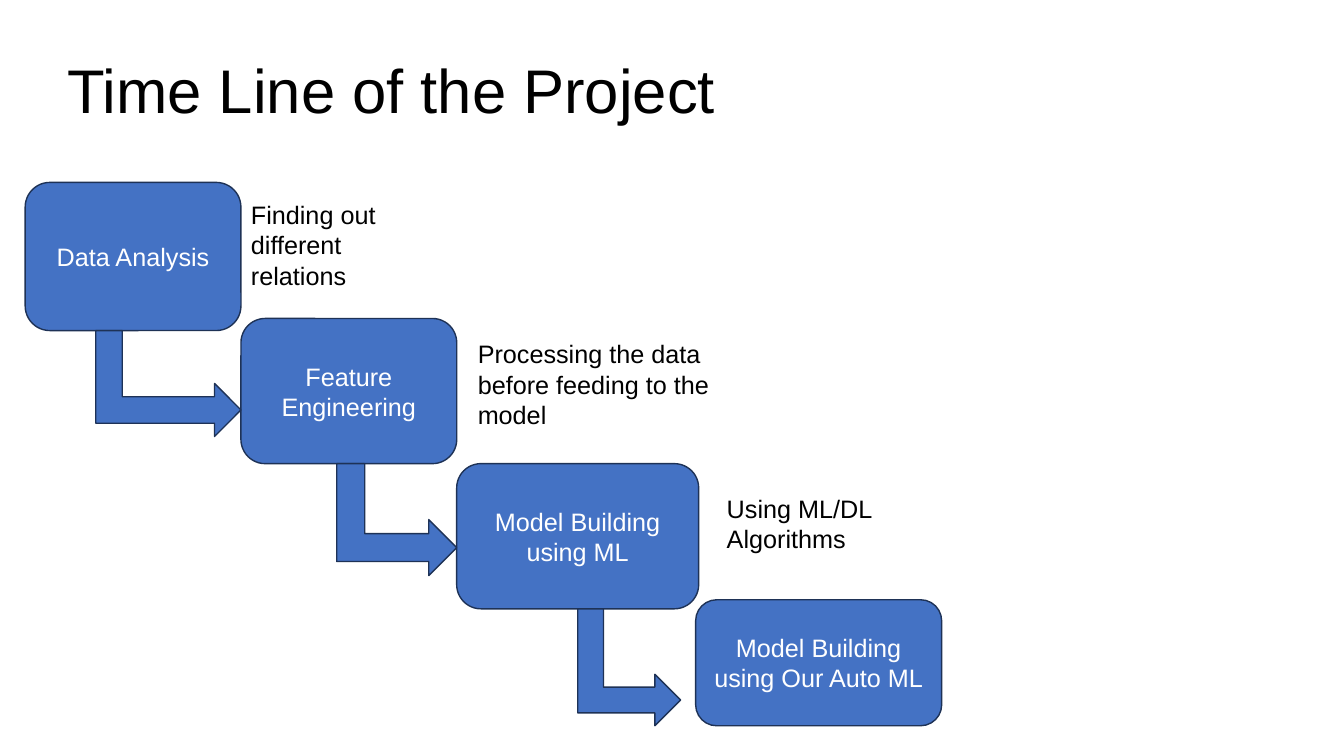
from dataclasses import dataclass
from pptx import Presentation
from pptx.dml.color import RGBColor as RGB
from pptx.enum.shapes import MSO_SHAPE as Kind
from pptx.enum.text import MSO_ANCHOR as Anchor, PP_ALIGN as Align
from pptx.util import Inches, Pt

# Content: step, note
TITLE = "Time Line of the Project"
STEPS = [
    ("Data Analysis", "Finding out different relations"),
    ("Feature Engineering", "Processing the data before feeding to the model"),
    ("Model Building using ML", "Using ML/DL Algorithms"),
    ("Model Building using Our Auto ML", None),
]

# Grid in inches: one column and one row for each step
WIDE, HIGH = 13.33, 7.5
COLS = [(0.25, 2.14), (2.39, 2.14), (4.53, 2.4), (6.9, 2.44)]
ROWS = [(1.81, 1.47), (3.16, 1.44), (4.6, 1.44), (5.95, 1.25)]
# Arrow to the next step: reach, drop, gap before its tip
BENDS = [(1.44, 1.05, 0), (1.19, 1.11, 0), (1.02, 1.16, 0.15)]
# Note beside a step: shift right, shift down, width, height
NOTES = [(0, 0.12, 1.98, 1.01), (0.11, 0.15, 2.65, 1.01), (0.18, 0.24, 1.84, 0.71)]


@dataclass(frozen=True)
class Theme:
    font: str = "Arial"
    fill: RGB = RGB(0x44, 0x72, 0xC4)
    edge: RGB = RGB(0x1E, 0x32, 0x56)
    dark: RGB = RGB(0, 0, 0)
    light: RGB = RGB(255, 255, 255)
    head: int = 44
    body: int = 18


THEME = Theme()


def write(shape, text, size=THEME.body, color=THEME.dark, align=Align.LEFT,
          anchor=Anchor.TOP, pad=None, space=None):
    frame = shape.text_frame
    frame.word_wrap = True
    frame.vertical_anchor = anchor
    if pad is not None:
        frame.margin_left = frame.margin_right = Inches(pad)
        frame.margin_top = frame.margin_bottom = Inches(pad)
    para = frame.paragraphs[0]
    para.alignment = align
    if space:
        para.line_spacing = space
    run = para.add_run()
    run.text = text
    run.font.name = THEME.font
    run.font.size = Pt(size)
    run.font.color.rgb = color


def draw(slide, kind, *area):
    shape = slide.shapes.add_shape(kind, *map(Inches, area))
    shape.shadow.inherit = False
    shape.fill.solid()
    shape.fill.fore_color.rgb = THEME.fill
    shape.line.color.rgb = THEME.edge
    shape.line.width = Pt(1)
    return shape


def label(slide, text, *area, **style):
    write(slide.shapes.add_textbox(*map(Inches, area)), text, **style)


def main():
    deck = Presentation()
    deck.slide_width, deck.slide_height = Inches(WIDE), Inches(HIGH)
    slide = deck.slides.add_slide(deck.slide_layouts[6])

    # Title
    label(slide, TITLE, 0.05 * WIDE, 0.04 * HIGH, 0.9 * WIDE, HIGH / 6,
          size=THEME.head, anchor=Anchor.MIDDLE, pad=0, space=0.9)

    # Steps
    for (step, _), (left, width), (top, height) in zip(STEPS, COLS, ROWS):
        box = draw(slide, Kind.FLOWCHART_ALTERNATE_PROCESS, left, top, width, height)
        write(box, step, color=THEME.light, align=Align.CENTER, anchor=Anchor.MIDDLE)

    # Arrows: from under a step to the left side of the next, turned a quarter
    for (reach, drop, gap), (top, height), (goal, _) in zip(BENDS, ROWS, COLS[1:]):
        mid_x = goal - gap - reach / 2
        mid_y = top + height + drop / 2
        bend = draw(slide, Kind.BENT_UP_ARROW,
                    mid_x - drop / 2, mid_y - reach / 2, drop, reach)
        bend.rotation = 90

    # Notes
    for (_, note), (left, width), (top, _), (right, down, *size) in zip(
            STEPS, COLS, ROWS, NOTES):
        label(slide, note, left + width + right, top + down, *size)

    deck.save("out.pptx")


if __name__ == "__main__":
    main()
